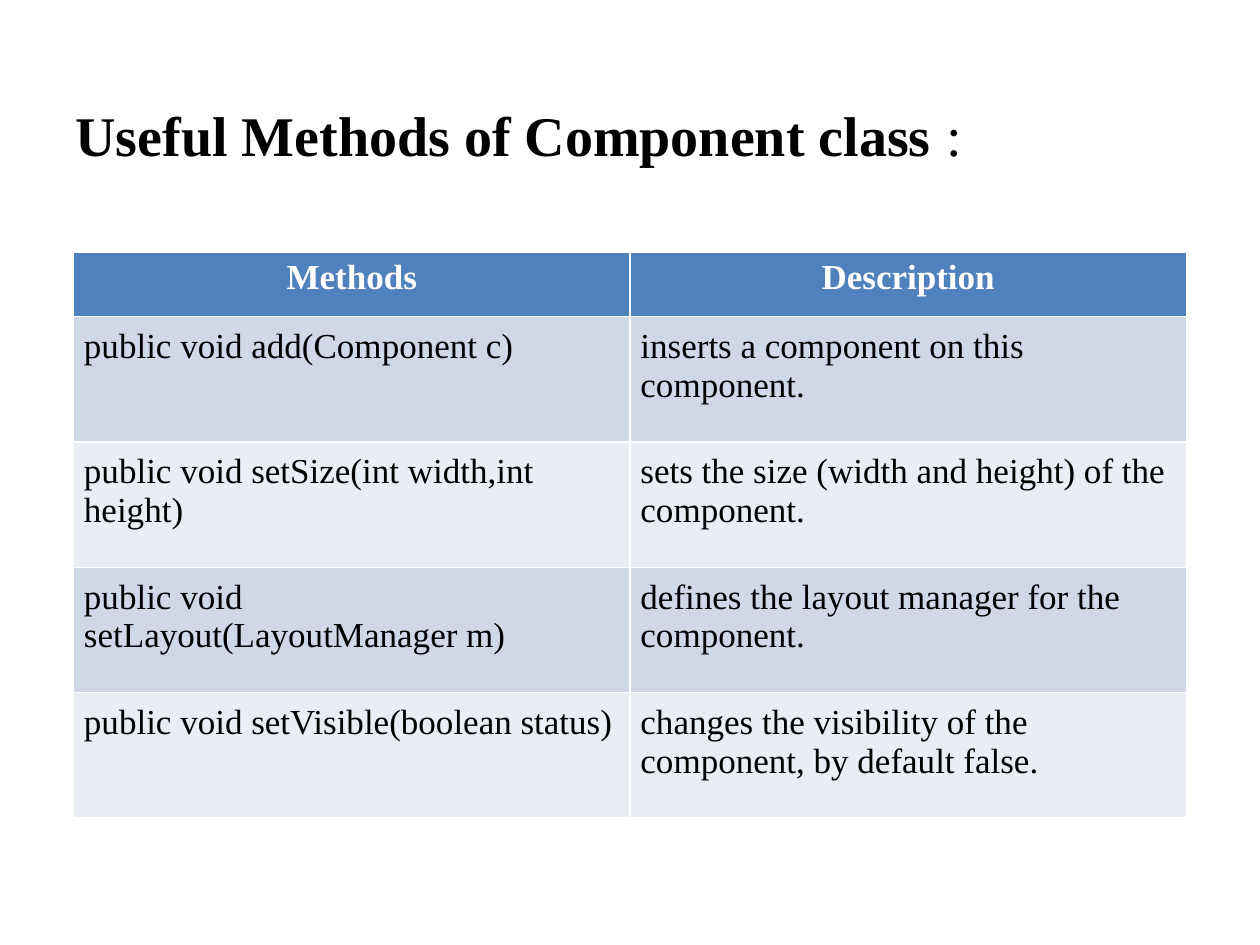
import pptx
import pptx.dml.color
import pptx.enum.text
import pptx.util

Pt = pptx.util.Pt


def style(r, size, color, bold):
    r.font.name = "Times New Roman"
    r.font.size = Pt(size)
    r.font.bold = bold
    r.font.color.rgb = rgb(color)


def rgb(color):
    return pptx.dml.color.RGBColor.from_string(color)


prs = pptx.Presentation()
prs.slide_width, prs.slide_height = Pt(720), Pt(540)
s = prs.slides.add_slide(prs.slide_layouts[6])

# Title
tf = s.shapes.add_textbox(Pt(36), Pt(54), Pt(648), Pt(60)).text_frame
tf.word_wrap = True
p = tf.paragraphs[0]
p.space_before = Pt(3.6)
for text, bold in [("Useful Methods of Component class", True), (" :", False)]:
    r = p.add_run()
    r.text = text
    style(r, 32, "000000", bold)

# Methods table; its default style draws the white cell borders
rows = [
    ("Methods", "Description"),
    ("public void add(Component c)", "inserts a component on this component."),
    ("public void setSize(int width,int height)",
     "sets the size (width and height) of the component."),
    ("public void setLayout(LayoutManager m)",
     "defines the layout manager for the component."),
    ("public void setVisible(boolean status)",
     "changes the visibility of the component, by default false."),
]
header_height, row_height = 37, 71.6
table = s.shapes.add_table(len(rows), 2, Pt(42), Pt(144), Pt(636),
                           Pt(header_height + 4 * row_height)).table
for i, texts in enumerate(rows):
    header = i == 0
    table.rows[i].height = Pt(header_height if header else row_height)
    for j, text in enumerate(texts):
        cell = table.cell(i, j)
        cell.fill.solid()
        cell.fill.fore_color.rgb = rgb(
            "4F81BD" if header else "D0D8E8" if i % 2 else "E9EDF4")
        p = cell.text_frame.paragraphs[0]
        p.text = text
        style(p.runs[0], 20, "FFFFFF" if header else "000000", header)
        if header:
            p.alignment = pptx.enum.text.PP_ALIGN.CENTER
        else:
            cell.margin_left = cell.margin_right = Pt(6)
            cell.margin_top = cell.margin_bottom = Pt(6)

prs.save("out.pptx")
